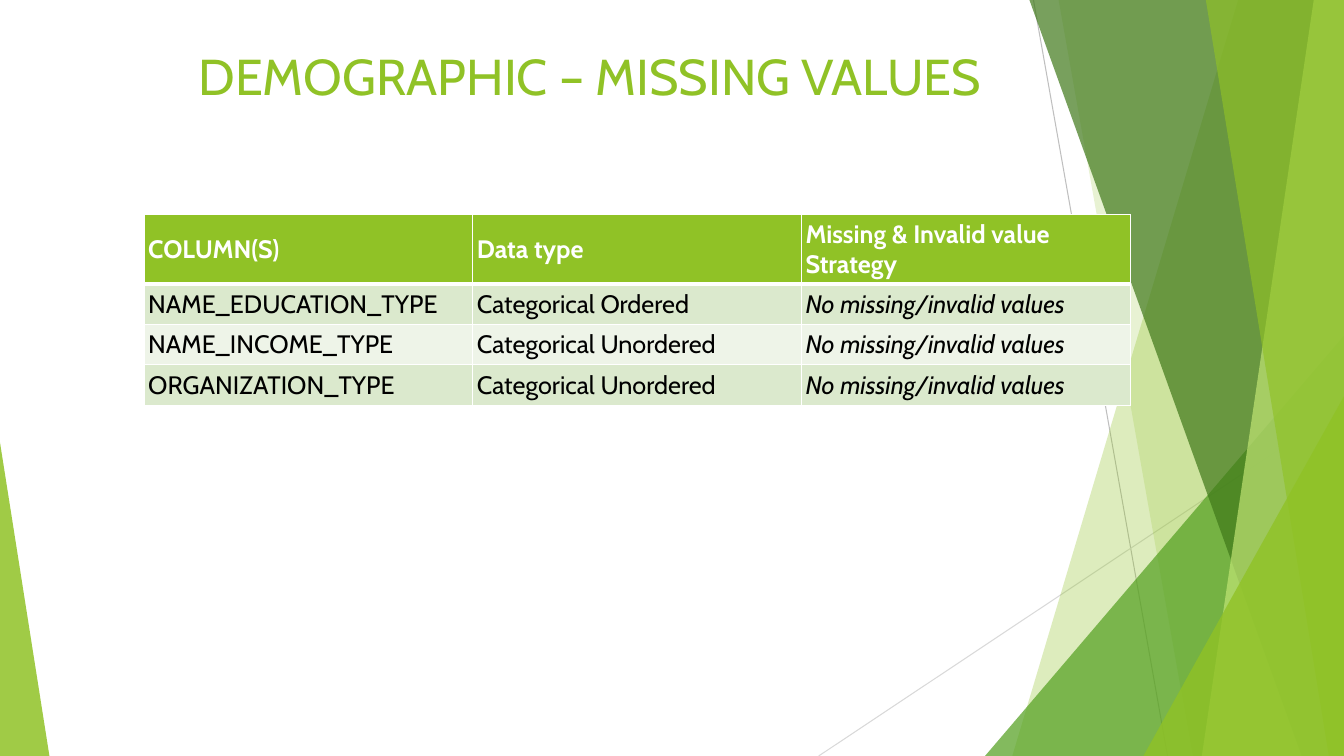
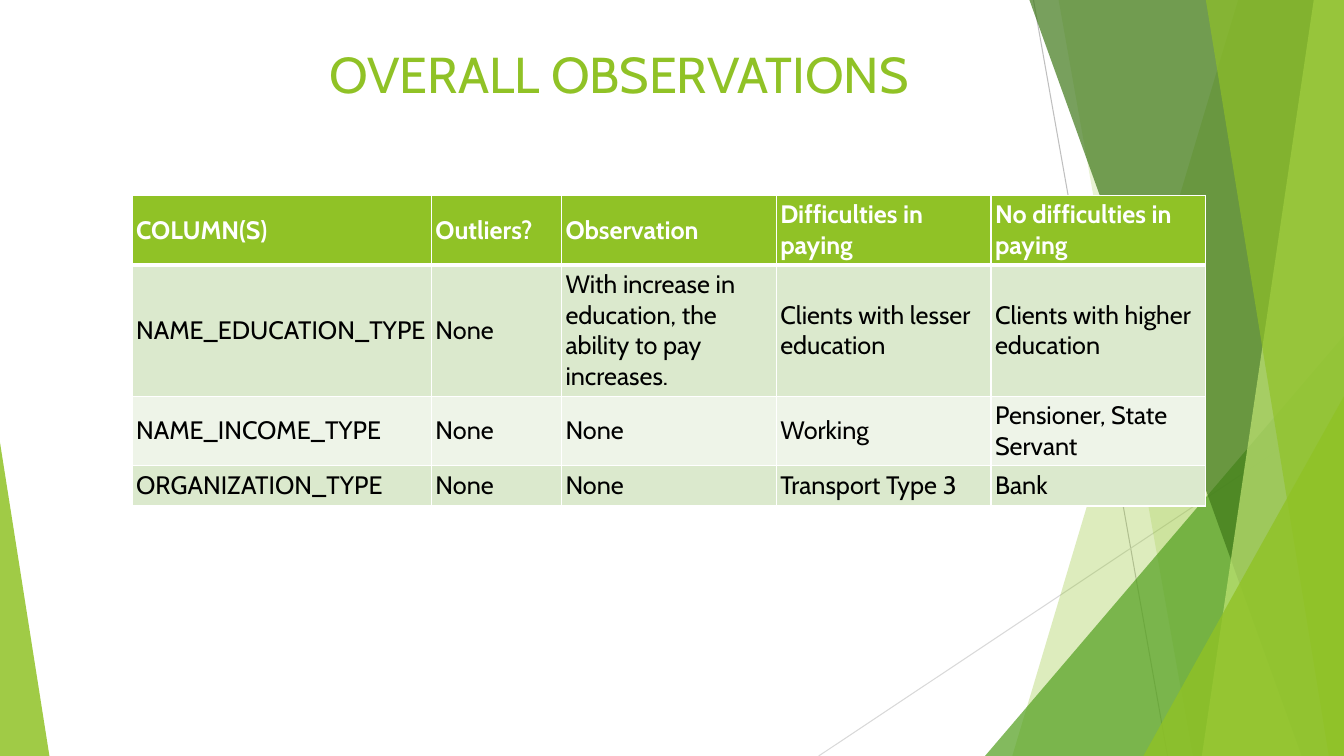
from pptx import Presentation
from pptx.dml.color import RGBColor
from pptx.enum.shapes import MSO_CONNECTOR, MSO_SHAPE
from pptx.enum.text import MSO_ANCHOR, PP_ALIGN
from pptx.oxml import parse_xml
from pptx.oxml.ns import nsdecls, qn
from pptx.oxml.xmlchemy import OxmlElement
from pptx.util import Inches, Pt

FONT = "Cabin"
WHITE = RGBColor(0xFF, 0xFF, 0xFF)
BLACK = RGBColor(0x00, 0x00, 0x00)
LIME = RGBColor(0x90, 0xC2, 0x26)
PALE_LIME = RGBColor(0xC0, 0xE4, 0x74)
GREEN = RGBColor(0x54, 0xA0, 0x21)
DARK_GREEN = RGBColor(0x3F, 0x78, 0x19)
BAND_DARK = RGBColor(0xDB, 0xE9, 0xCD)
BAND_LIGHT = RGBColor(0xEE, 0xF4, 0xE8)
GRAY = RGBColor(0xBF, 0xBF, 0xBF)
LIGHT_GRAY = RGBColor(0xD9, 0xD9, 0xD9)

WIDTH, HEIGHT = 13.33, 7.5
CELL_MARGIN = Inches(0.04)


def paint(shape, color, opacity):
    """Give a shape a see-through fill with no outline or shadow."""
    shape.shadow.inherit = False
    shape.fill.solid()
    shape.fill.fore_color.rgb = color
    shape.line.fill.background()
    alpha = OxmlElement("a:alpha")
    alpha.set("val", str(opacity * 1000))
    shape.element.spPr.find(qn("a:solidFill"))[0].append(alpha)


def add_thin_line(slide, start, end, color):
    """Draw a hairline between two points."""
    line = slide.shapes.add_connector(
        MSO_CONNECTOR.STRAIGHT, *(Inches(value) for value in start + end))
    line.line.color.rgb = color
    line.line.width = Pt(0.75)
    line.element.spPr.append(OxmlElement("a:effectLst"))


def add_shard(slide, top_left, bottom_left, color, opacity):
    """Fill the area from a slanted left edge to the slide's right edge."""
    corners = [(top_left, 0), (WIDTH, 0), (WIDTH, HEIGHT), (bottom_left, HEIGHT)]
    points = [(Inches(x), Inches(y)) for x, y in corners]
    builder = slide.shapes.build_freeform(*points[0])
    builder.add_line_segments(points[1:], close=True)
    paint(builder.convert_to_shape(), color, opacity)


def add_corner(slide, left, top, width, apex, color, opacity):
    """Draw a triangle standing on the slide's bottom edge."""
    triangle = slide.shapes.add_shape(
        MSO_SHAPE.ISOSCELES_TRIANGLE, Inches(left), Inches(top),
        Inches(width), Inches(HEIGHT - top))
    triangle.adjustments[0] = apex
    paint(triangle, color, opacity)


def add_backdrop(slide):
    """Draw the faceted green decoration shared by the slides."""
    add_thin_line(slide, (10.25, 0), (11.58, HEIGHT), GRAY)
    add_thin_line(slide, (WIDTH, 4.03), (8.12, HEIGHT), LIGHT_GRAY)
    add_shard(slide, 12.28, 10.04, LIME, 30)
    add_shard(slide, 10.5, 11.83, LIME, 20)
    add_corner(slide, 9.77, 3.33, 3.56, 1, GREEN, 72)
    add_shard(slide, 10.21, 12.91, DARK_GREEN, 70)
    add_shard(slide, 13.03, 11.92, PALE_LIME, 70)
    add_shard(slide, 11.96, 13.18, LIME, 65)
    add_corner(slide, 11.34, 3.93, 1.99, 1, LIME, 80)
    add_corner(slide, 0, 4.39, 0.49, 0, LIME, 85)


def add_title(slide, text, left, top):
    """Place the centred slide title."""
    box = slide.shapes.add_textbox(
        Inches(left), Inches(top), Inches(11.5), Inches(0.88))
    frame = box.text_frame
    frame.word_wrap = True
    frame.vertical_anchor = MSO_ANCHOR.TOP
    paragraph = frame.paragraphs[0]
    paragraph.text = text
    paragraph.alignment = PP_ALIGN.CENTER
    paragraph.font.name = FONT
    paragraph.font.size = Pt(36)
    paragraph.font.color.rgb = LIME


def set_borders(cell, top, bottom):
    """Give a cell white borders, with top and bottom widths in points."""
    properties = cell._tc.get_or_add_tcPr()
    sides = [("L", 1), ("R", 1), ("T", top), ("B", bottom)]
    for index, (side, width) in enumerate(sides):
        properties.insert(index, parse_xml(
            f'<a:ln{side} {nsdecls("a")} w="{Pt(width)}"><a:solidFill>'
            f'<a:srgbClr val="{WHITE}"/></a:solidFill></a:ln{side}>'))


def fill_cell(cell, text, row, italic):
    """Write and style one cell according to its row."""
    header = row == 0
    cell.fill.solid()
    cell.fill.fore_color.rgb = (
        LIME if header else BAND_DARK if row % 2 else BAND_LIGHT)
    cell.vertical_anchor = MSO_ANCHOR.MIDDLE
    cell.margin_left = cell.margin_right = CELL_MARGIN
    cell.margin_top = cell.margin_bottom = CELL_MARGIN
    set_borders(cell, 3 if row == 1 else 1, 3 if header else 1)
    paragraph = cell.text_frame.paragraphs[0]
    paragraph.text = text
    font = paragraph.font
    font.name = FONT
    font.size = Pt(18)
    font.bold = header
    font.italic = italic and not header
    font.color.rgb = WHITE if header else BLACK


def add_grid(slide, left, top, widths, heights, rows, italic_column=None):
    """Place a banded table with a coloured header row."""
    table = slide.shapes.add_table(
        len(rows), len(widths), Inches(left), Inches(top),
        Inches(sum(widths)), Inches(sum(heights))).table
    table.horz_banding = False
    for column, width in zip(table.columns, widths):
        column.width = Inches(width)
    for table_row, height in zip(table.rows, heights):
        table_row.height = Inches(height)
    for row, texts in enumerate(rows):
        for column, text in enumerate(texts):
            fill_cell(table.cell(row, column), text, row, column == italic_column)


def add_slide(presentation):
    """Add a blank slide with the shared decoration."""
    slide = presentation.slides.add_slide(presentation.slide_layouts[6])
    add_backdrop(slide)
    return slide


def build_missing_values(presentation):
    """Build the slide on missing demographic values."""
    slide = add_slide(presentation)
    add_title(slide, "DEMOGRAPHIC – MISSING VALUES", 0.1, 0.4)
    no_gaps = "No missing/invalid values"
    add_grid(slide, 1.43, 2.13, [3.26] * 3, [0.69, 0.4, 0.4, 0.4], [
        ("COLUMN(S)", "Data type", "Missing & Invalid value Strategy"),
        ("NAME_EDUCATION_TYPE", "Categorical Ordered", no_gaps),
        ("NAME_INCOME_TYPE", "Categorical Unordered", no_gaps),
        ("ORGANIZATION_TYPE", "Categorical Unordered", no_gaps),
    ], italic_column=2)


def build_observations(presentation):
    """Build the slide of overall observations."""
    slide = add_slide(presentation)
    add_title(slide, "OVERALL OBSERVATIONS", 0.39, 0.38)
    add_grid(slide, 1.31, 1.94, [2.97, 1.29] + [2.13] * 3, [0.69, 1.3, 0.69, 0.4], [
        ("COLUMN(S)", "Outliers?", "Observation",
         "Difficulties in paying", "No difficulties in paying"),
        ("NAME_EDUCATION_TYPE", "None",
         "With increase in education, the ability to pay increases.",
         "Clients with lesser education", "Clients with higher education"),
        ("NAME_INCOME_TYPE", "None", "None", "Working", "Pensioner, State Servant"),
        ("ORGANIZATION_TYPE", "None", "None", "Transport Type 3", "Bank"),
    ])


def main():
    """Build and save the presentation."""
    presentation = Presentation()
    presentation.slide_width = Inches(WIDTH)
    presentation.slide_height = Inches(HEIGHT)
    build_missing_values(presentation)
    build_observations(presentation)
    presentation.save("out.pptx")


if __name__ == "__main__":
    main()
